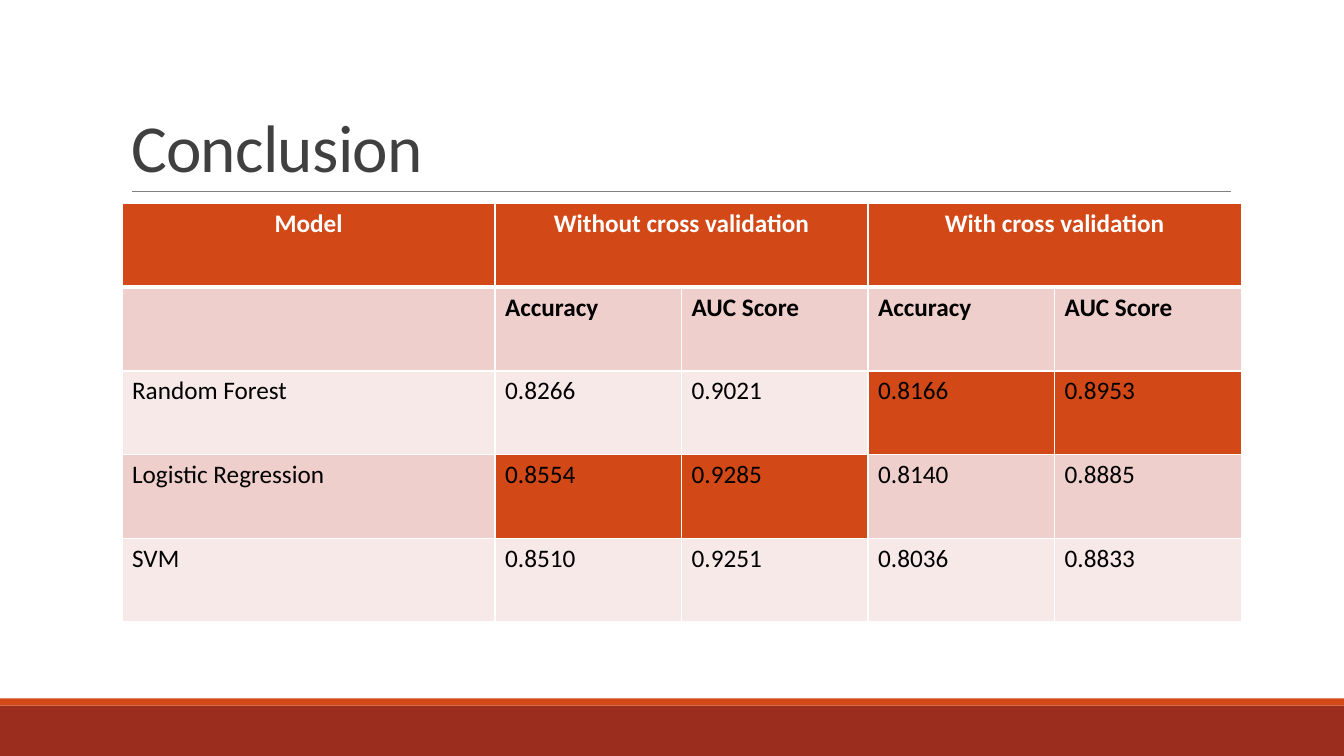
from lxml import etree
from pptx import Presentation
from pptx.dml.color import RGBColor
from pptx.enum.shapes import MSO_CONNECTOR, MSO_SHAPE
from pptx.enum.text import MSO_ANCHOR, MSO_AUTO_SIZE, PP_ALIGN
from pptx.oxml.ns import qn
from pptx.util import Inches, Pt

RECT = MSO_SHAPE.RECTANGLE
LINE = MSO_CONNECTOR.STRAIGHT
LEFT, CENTER = PP_ALIGN.LEFT, PP_ALIGN.CENTER
BOTTOM = MSO_ANCHOR.BOTTOM
NO_FIT = MSO_AUTO_SIZE.NONE

WHITE = RGBColor(0xFF, 0xFF, 0xFF)
BLACK = RGBColor(0, 0, 0)
INK = RGBColor(0x40, 0x40, 0x40)
GRAY = RGBColor(0x80, 0x80, 0x80)
ORANGE = RGBColor(0xD3, 0x48, 0x17)
BRICK = RGBColor(0x9B, 0x2D, 0x1F)
ROSE = RGBColor(0xEF, 0xCF, 0xCC)
BLUSH = RGBColor(0xF7, 0xE9, 0xE8)

FONT = "Calibri"
WIDTH, HEIGHT = Inches(13.33), Inches(7.5)
MARGIN = Inches(1.21)
COL, ROW = Inches(1.85), Inches(0.83)
SPANS = [2, 1, 1, 1, 1]

ROWS = [
    ["Model", "Without cross validation", "", "With cross validation", ""],
    ["", "Accuracy", "AUC Score", "Accuracy", "AUC Score"],
    ["Random Forest", "0.8266", "0.9021", "0.8166", "0.8953"],
    ["Logistic Regression", "0.8554", "0.9285", "0.8140", "0.8885"],
    ["SVM", "0.8510", "0.9251", "0.8036", "0.8833"],
]
BEST = {(2, 3), (2, 4), (3, 1), (3, 2)}


def write(frame, text, size=18, color=BLACK, bold=False, align=LEFT):
    para = frame.paragraphs[0]
    para.alignment = align
    run = para.add_run()
    run.text = text
    font = run.font
    font.name, font.size, font.bold = FONT, Pt(size), bold
    font.color.rgb = color
    return para, run


def add_band(slide, top, height, color):
    band = slide.shapes.add_shape(RECT, 0, top, WIDTH, height)
    band.shadow.inherit = False
    band.fill.solid()
    band.fill.fore_color.rgb = color
    band.line.fill.background()


def add_rule(slide, left, right, y):
    rule = slide.shapes.add_connector(LINE, left, y, right, y)
    rule.line.color.rgb = GRAY
    rule.line.width = Pt(0.5)
    etree.SubElement(rule._element.spPr, qn("a:effectLst"))


def add_title(slide, text):
    title = slide.shapes.title
    title.left, title.top = Inches(1.2), Inches(0.31)
    title.width, title.height = Inches(11), Inches(1.59)
    frame = title.text_frame
    frame.word_wrap, frame.auto_size = True, NO_FIT
    frame.vertical_anchor = BOTTOM
    para, run = write(frame, text, size=48, color=INK)
    para.line_spacing = 0.85
    run.font._element.set("spc", "-50")


def edge(cell, side, width):
    """Draw a white border; call in the order L, R, T, B, before the fill."""
    props = cell._tc.get_or_add_tcPr()
    line = etree.SubElement(props, qn("a:ln" + side), w=str(Pt(width)))
    fill = etree.SubElement(line, qn("a:solidFill"))
    etree.SubElement(fill, qn("a:srgbClr"), val=str(WHITE))


def tint(row, col):
    if row == 0 or (row, col) in BEST:
        return ORANGE
    return ROSE if row % 2 else BLUSH


def add_scores(slide):
    table = slide.shapes.add_table(
        len(ROWS), len(SPANS), MARGIN, Inches(2.02),
        COL * sum(SPANS), ROW * len(ROWS)).table
    table.first_row = table.horz_banding = False
    for col, span in zip(table.columns, SPANS):
        col.width = COL * span
    for r, texts in enumerate(ROWS):
        table.rows[r].height = ROW
        head = r == 0
        for c, text in enumerate(texts):
            cell = table.cell(r, c)
            for side in "LRTB":
                thick = (r, side) in {(0, "B"), (1, "T")}
                edge(cell, side, 3 if thick else 1)
            cell.fill.solid()
            cell.fill.fore_color.rgb = tint(r, c)
            if text:
                write(cell.text_frame, text, bold=r < 2,
                      color=WHITE if head else BLACK,
                      align=CENTER if head else LEFT)
    for c in (1, 3):
        table.cell(0, c).merge(table.cell(0, c + 1))


def main():
    deck = Presentation()
    deck.slide_width, deck.slide_height = WIDTH, HEIGHT
    slide = deck.slides.add_slide(deck.slide_layouts[5])
    base, strip = Inches(0.5), Inches(0.07)
    add_band(slide, HEIGHT - base, base, BRICK)
    add_band(slide, HEIGHT - base - strip, strip, ORANGE)
    add_rule(slide, Inches(1.31), Inches(12.21), Inches(1.9))
    add_title(slide, "Conclusion")
    add_scores(slide)
    deck.save("out.pptx")


if __name__ == "__main__":
    main()
